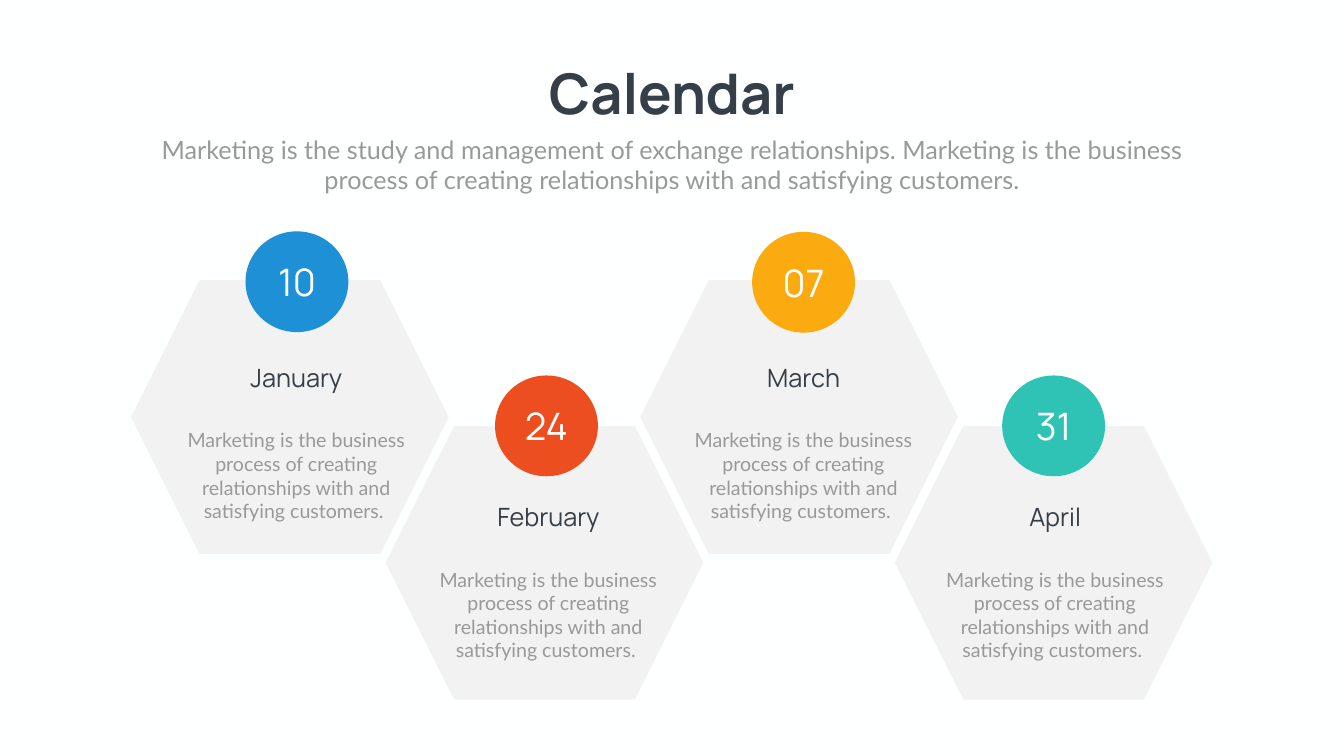
from dataclasses import dataclass

from pptx import Presentation
from pptx.dml.color import RGBColor
from pptx.enum.shapes import MSO_SHAPE
from pptx.enum.text import MSO_ANCHOR, MSO_AUTO_SIZE, PP_ALIGN
from pptx.util import Inches, Pt

COLORS = {
    "background": "FEFFFF",
    "ink": "363E48",
    "muted": "999999",
    "panel": "F2F2F2",
    "white": "FFFFFF",
    "blue": "1E90D5",
    "red": "EC4E1F",
    "amber": "FBAA10",
    "teal": "2FC3B6",
}
HEADING_FONT, BODY_FONT = "Manrope", "Lato"

# The trailing space is part of the centred last line
DESCRIPTION = ("Marketing is the business process of creating "
               "relationships with and satisfying customers. ")
INTRO = ("Marketing is the study and management of exchange relationships. "
         "Marketing is the business process of creating relationships "
         "with and satisfying customers.")


@dataclass
class Month:
    name: str
    day: str
    color: str
    day_offset: tuple   # circle, from the hexagon's corner
    text_offset: tuple  # description, from the hexagon's corner


MONTHS = [
    Month("January", "10", "blue", (2.27, -0.97), (0.87, 2.89)),
    Month("February", "24", "red", (2.17, -1), (0.82, 2.76)),
    Month("March", "07", "amber", (2.22, -0.96), (0.83, 2.89)),
    Month("April", "31", "teal", (2.13, -1), (0.77, 2.76)),
]
HEX_WIDTH, HEX_HEIGHT = 6.3, 5.43
FIRST_LEFT, UPPER_TOP = 2.6, 5.56
STEP, DROP = 5.05, 2.89


def rgb(name):
    return RGBColor.from_string(COLORS[name])


def write(shape, text, size, font, color, bold=False, anchor=MSO_ANCHOR.TOP):
    frame = shape.text_frame
    frame.text = text
    frame.word_wrap = True
    frame.auto_size = MSO_AUTO_SIZE.NONE
    frame.vertical_anchor = anchor
    paragraph = frame.paragraphs[0]
    paragraph.alignment = PP_ALIGN.CENTER
    paragraph.space_before = Pt(0)
    run_font = paragraph.runs[0].font
    run_font.size, run_font.name, run_font.bold = Pt(size), font, bold
    run_font.color.rgb = rgb(color)


def add_plain_shape(slide, kind, box, color):
    shape = slide.shapes.add_shape(kind, *map(Inches, box))
    shape.shadow.inherit = False
    shape.fill.solid()
    shape.fill.fore_color.rgb = rgb(color)
    shape.line.fill.background()
    return shape


def add_text(slide, box, text, size, font, color):
    label = slide.shapes.add_textbox(*map(Inches, box))
    write(label, text, size, font, color)


def place(shape, left, top, width, height):
    shape.left, shape.top = Inches(left), Inches(top)
    shape.width, shape.height = Inches(width), Inches(height)


def fill_header(slide, left, top, width):
    title, intro = slide.shapes.title, slide.placeholders[1]
    title_width = 5.6
    place(title, left + (width - title_width) / 2, top, title_width, 1.45)
    write(title, "Calendar", 80, HEADING_FONT, "ink", bold=True)
    title.text_frame.word_wrap = False
    place(intro, left, top + 1.49, width, 1.31)
    write(intro, INTRO, 36, BODY_FONT, "muted")


def add_day(slide, month, left, top):
    dx, dy = month.day_offset
    circle = add_plain_shape(slide, MSO_SHAPE.OVAL,
                             (left + dx, top + dy, 2.04, 2), month.color)
    write(circle, month.day, 54, HEADING_FONT, "white",
          anchor=MSO_ANCHOR.MIDDLE)


def add_month_text(slide, month, left, top):
    dx, dy = month.text_offset
    text_left, text_top = left + dx, top + dy
    add_text(slide, (text_left, text_top, 4.81, 1.99),
             DESCRIPTION, 28, BODY_FONT, "muted")
    add_text(slide, (text_left + 0.19, text_top - 1.31, 4.44, 0.71),
             month.name, 36, HEADING_FONT, "ink")


def main():
    prs = Presentation()
    prs.slide_width, prs.slide_height = Inches(26.66), Inches(15)
    slide = prs.slides.add_slide(prs.slide_layouts[0])
    slide.background.fill.solid()
    slide.background.fill.fore_color.rgb = rgb("background")

    # Title and introduction
    fill_header(slide, 2.92, 1.12, 20.82)

    # Hexagons in a zigzag, every second one lowered
    corners = [(FIRST_LEFT + i * STEP, UPPER_TOP + i % 2 * DROP)
               for i in range(len(MONTHS))]
    for left, top in corners:
        add_plain_shape(slide, MSO_SHAPE.HEXAGON,
                        (left, top, HEX_WIDTH, HEX_HEIGHT), "panel")

    # Day circles and month texts lie above all hexagons
    for month, corner in zip(MONTHS, corners):
        add_day(slide, month, *corner)
        add_month_text(slide, month, *corner)

    prs.save("out.pptx")


if __name__ == "__main__":
    main()
